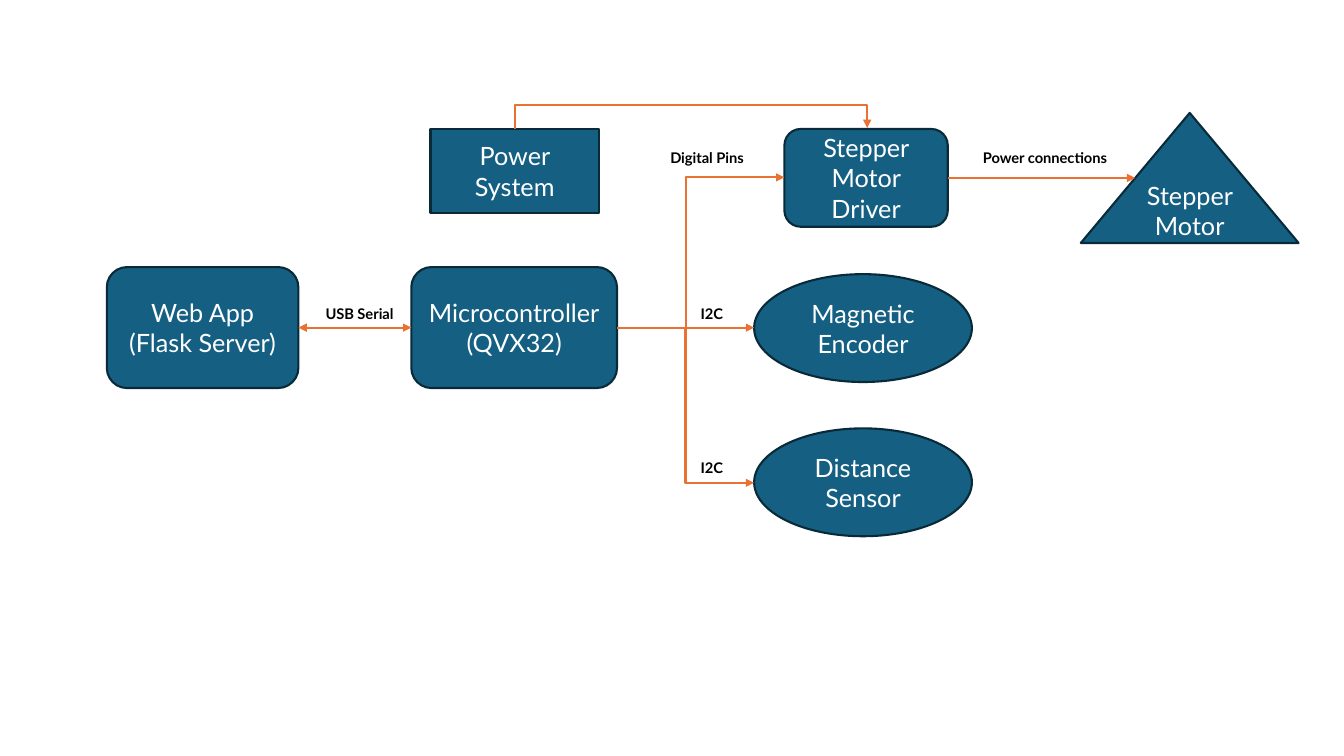
import pptx
import pptx.util
import pptx.dml.color
import pptx.enum.shapes
import pptx.enum.text
import pptx.oxml
import pptx.oxml.ns
import lxml.etree

Inches = pptx.util.Inches
Pt = pptx.util.Pt
Shape = pptx.enum.shapes.MSO_SHAPE
Connector = pptx.enum.shapes.MSO_CONNECTOR
COLORS = {"fill": "156082", "outline": "092A39", "link": "E97132", "light": "FFFFFF", "dark": "000000"}
LEFT, RIGHT = 1, 3

NODES = {
    "web": (Shape.ROUNDED_RECTANGLE, (1.06, 2.65, 1.9, 1.2), ["Web App", "(Flask Server)"]),
    "controller": (Shape.ROUNDED_RECTANGLE, (4.08, 2.65, 2.04, 1.2), ["Microcontroller", "(QVX32)"]),
    "encoder": (Shape.OVAL, (7.48, 2.72, 2.16, 1.07), ["Magnetic Encoder"]),
    "distance": (Shape.OVAL, (7.48, 4.25, 2.16, 1.07), ["Distance Sensor"]),
    "motor": (Shape.ISOSCELES_TRIANGLE, (10.72, 1.12, 2.16, 1.29), ["Stepper Motor"]),
    "driver": (Shape.ROUNDED_RECTANGLE, (7.78, 1.28, 1.62, 0.97), ["Stepper Motor Driver"]),
    "power": (Shape.RECTANGLE, (4.27, 1.28, 1.67, 0.83), ["Power System"]),
}
LABELS = [
    ("USB Serial", (3.13, 2.97, 0.95, 0.29)),
    ("Digital Pins", (6.55, 1.43, 1.04, 0.29)),
    ("I2C", (6.85, 2.97, 0.43, 0.29)),
    ("I2C", (6.85, 4.5, 0.43, 0.29)),
    ("Power connections", (9.65, 1.43, 1.54, 0.29)),
]


def color(name):
    return pptx.dml.color.RGBColor.from_string(COLORS[name])


def write(para, text, ink, **formats):
    span = para.add_run()
    span.text = text
    span.font.color.rgb = color(ink)
    for key, value in {"name": "Lato", **formats}.items():
        setattr(span.font, key, value)


def add_node(page, kind, place, lines):
    node = page.shapes.add_shape(kind, *map(Inches, place))
    node.shadow.inherit = False
    node.fill.solid()
    node.fill.fore_color.rgb = color("fill")
    node.line.color.rgb = color("outline")
    node.line.width = Pt(1.5)
    frame = node.text_frame
    frame.word_wrap = True
    frame.vertical_anchor = pptx.enum.text.MSO_ANCHOR.MIDDLE
    for index, line in enumerate(lines):
        para = frame.add_paragraph() if index else frame.paragraphs[0]
        para.alignment = pptx.enum.text.PP_ALIGN.CENTER
        write(para, line, "light", size=Pt(18))
    return node


def add_label(page, text, place):
    box = page.shapes.add_textbox(*map(Inches, place))
    box.text_frame.word_wrap = False
    write(box.text_frame.paragraphs[0], text, "dark", size=Pt(10.5), bold=True)


def add_link(page, kind, start, end, both_ways=False):
    link = page.shapes.add_connector(kind, *map(Inches, start + end))
    link.line.color.rgb = color("link")
    link.line.width = Pt(1.5)
    qn = pptx.oxml.ns.qn
    outline = link.line._get_or_add_ln()
    for tag in ["a:headEnd", "a:tailEnd"] if both_ways else ["a:tailEnd"]:
        lxml.etree.SubElement(outline, qn(tag), type="triangle")
    lxml.etree.SubElement(link._element.spPr, qn("a:effectLst"))
    return link


def add_elbow(page, start, end, bend=0.5, turn=0):
    """Bend is the share of the width before the turn; turn is a clockwise rotation in degrees."""
    link = add_link(page, Connector.ELBOW, start, end)
    properties = link._element.spPr
    guides = properties.find(".//" + pptx.oxml.ns.qn("a:avLst"))
    lxml.etree.SubElement(guides, pptx.oxml.ns.qn("a:gd"), name="adj1", fmla=f"val {round(bend * 100000)}")
    if turn:
        properties.find(pptx.oxml.ns.qn("a:xfrm")).set("rot", str(turn * 60000))


def main():
    deck = pptx.Presentation()
    deck.slide_width, deck.slide_height = Inches(13.33), Inches(7.5)
    page = deck.slides.add_slide(deck.slide_layouts[6])

    nodes = {name: add_node(page, *node) for name, node in NODES.items()}
    for text, place in LABELS:
        add_label(page, text, place)

    output = (6.12, 3.25)
    serial = add_link(page, Connector.STRAIGHT, (2.96, 3.25), (4.08, 3.25), both_ways=True)
    serial.begin_connect(nodes["web"], RIGHT)
    serial.end_connect(nodes["controller"], LEFT)
    reading = add_link(page, Connector.STRAIGHT, output, (7.48, 3.25))
    reading.begin_connect(nodes["controller"], RIGHT)
    drive = add_link(page, Connector.STRAIGHT, (9.4, 1.76), (11.26, 1.76))
    drive.begin_connect(nodes["driver"], RIGHT)
    drive.end_y = drive.begin_y

    add_elbow(page, output, (7.48, 4.79))
    add_elbow(page, output, (7.78, 1.76), bend=0.41)
    # Turned a quarter, this runs up from the power system and down to the driver.
    add_elbow(page, (6.86, 3.02), (6.85, -0.47), bend=24, turn=90)
    deck.save("out.pptx")


if __name__ == "__main__":
    main()
